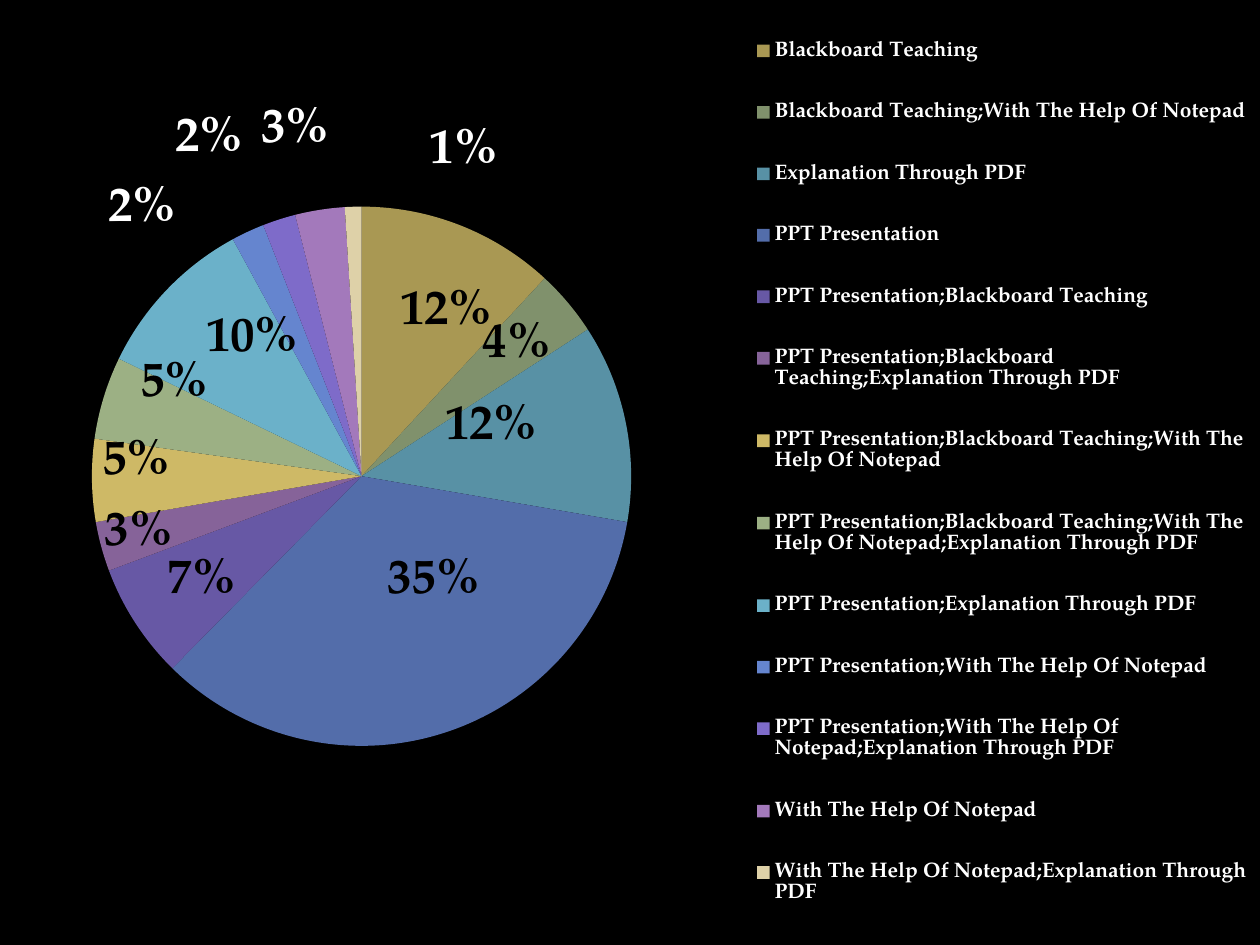
from math import cos, pi, sin

from lxml import etree
from pptx import Presentation
from pptx.chart.data import CategoryChartData
from pptx.dml.color import RGBColor
from pptx.enum.chart import XL_CHART_TYPE, XL_LABEL_POSITION, XL_LEGEND_POSITION
from pptx.oxml.ns import qn
from pptx.util import Inches, Pt

PIE = XL_CHART_TYPE.PIE
CENTER = XL_LABEL_POSITION.CENTER
RIGHT = XL_LEGEND_POSITION.RIGHT
FONT = "TeX Gyre Pagella"
WIDTH, HEIGHT = 10, 7.5
PIE_X, PIE_Y, RADIUS = 2.87, 3.78, 2.14
LEGEND_LEFT = 6.07

BOARD = "Blackboard Teaching"
NOTEPAD = "With The Help Of Notepad"
PDF = "Explanation Through PDF"
PPT = "PPT Presentation"

# fields: methods, percent, slice colour, label centre x and y, label colour
SLICES = [
    ([BOARD], 12, "A99853", 3.54, 2.49, "000000"),
    ([BOARD, NOTEPAD], 4, "80916C", 4.10, 2.75, "000000"),
    ([PDF], 12, "5891A5", 3.90, 3.40, "000000"),
    ([PPT], 35, "536DAA", 3.44, 4.62, "000000"),
    ([PPT, BOARD], 7, "6758A5", 1.60, 4.62, "000000"),
    ([PPT, BOARD, PDF], 3, "866399", 1.10, 4.24, "000000"),
    ([PPT, BOARD, NOTEPAD], 5, "CEB966", 1.08, 3.68, "000000"),
    ([PPT, BOARD, NOTEPAD, PDF], 5, "9CB084", 1.38, 3.06, "000000"),
    ([PPT, PDF], 10, "6BB1C9", 2.00, 2.70, "000000"),
    ([PPT, NOTEPAD], 2, "6585CF", 1.13, 1.67, "FFFFFF"),
    ([PPT, NOTEPAD, PDF], 2, "7E6BC9", 1.66, 1.11, "FFFFFF"),
    ([NOTEPAD], 3, "A379BB", 2.34, 1.04, "FFFFFF"),
    ([NOTEPAD, PDF], 1, "DED1A8", 3.68, 1.21, "FFFFFF"),
]


def colour(value):
    return RGBColor.from_string(value)


def style_font(font, size, value, bold):
    for name, setting in {"name": FONT, "size": Pt(size), "bold": bold}.items():
        setattr(font, name, setting)
    font.color.rgb = colour(value)


def make_layout(**settings):
    layout = etree.Element(qn("c:layout"))
    manual = etree.SubElement(layout, qn("c:manualLayout"))
    for name, value in settings.items():
        etree.SubElement(manual, qn("c:" + name)).set("val", str(value))
    return layout


def replace_layout(parent, layout, position):
    for old in parent.findall(qn("c:layout")):
        parent.remove(old)
    parent.insert(position, layout)


def show_percent(element):
    for name in ("showVal", "showPercent", "showLegendKey", "showCatName", "showSerName"):
        flag = element.find(qn("c:" + name))
        if flag is not None:
            flag.set("val", "1" if name == "showPercent" else "0")


def style_slices(chart):
    series = chart.plots[0].series[0]
    total = sum(row[1] for row in SLICES)
    passed = 0
    for index, (_, value, fill, x, y, text) in enumerate(SLICES):
        point = series.points[index]
        point.format.fill.solid()
        point.format.fill.fore_color.rgb = colour(fill)
        point.format.line.fill.background()
        label = point.data_label
        style_font(label.font, 28, text, True)
        label.position = CENTER
        angle = 2 * pi * (passed + value / 2) / total
        passed += value
        shift_x = x - PIE_X - RADIUS / 2 * sin(angle)
        shift_y = y - PIE_Y + RADIUS / 2 * cos(angle)
        element = chart.element.xpath(".//c:dLbl")[index]
        replace_layout(element, make_layout(
            x=round(shift_x / WIDTH, 4), y=round(shift_y / HEIGHT, 4)), 1)
        show_percent(element)
    labels = chart.element.xpath(".//c:ser/c:dLbls")[0]
    show_percent(labels)
    for leader in labels.findall(qn("c:showLeaderLines")):
        leader.set("val", "0")


def add_pie(page, left, top, width, height):
    data = CategoryChartData()
    data.categories = [";".join(row[0]) for row in SLICES]
    data.add_series("Series 1", [row[1] for row in SLICES])
    frame = page.shapes.add_chart(
        PIE, Inches(left), Inches(top), Inches(width), Inches(height), data)
    chart = frame.chart
    chart.has_title = False
    style_font(chart.font, 10, "FFFFFF", False)
    chart.plots[0].vary_by_categories = True
    style_slices(chart)
    replace_layout(chart.element.xpath(".//c:plotArea")[0], make_layout(
        layoutTarget="inner", xMode="edge", yMode="edge",
        x=round((PIE_X - RADIUS) / width, 4), y=round((PIE_Y - RADIUS) / height, 4),
        w=round(2 * RADIUS / width, 4), h=round(2 * RADIUS / height, 4)), 0)
    chart.has_legend = True
    legend = chart.legend
    legend.position = RIGHT
    legend.include_in_layout = False
    style_font(legend.font, 12, "FFFFFF", True)
    replace_layout(chart.element.xpath(".//c:legend")[0], make_layout(
        xMode="edge", yMode="edge", x=round(LEGEND_LEFT / width, 4), y=0,
        w=round(1 - LEGEND_LEFT / width, 4), h=1), 1)


deck = Presentation()
deck.slide_width, deck.slide_height = Inches(WIDTH), Inches(HEIGHT)
page = deck.slides.add_slide(deck.slide_layouts[6])
page.background.fill.solid()
page.background.fill.fore_color.rgb = colour("000000")
add_pie(page, 0, 0, WIDTH, HEIGHT)
deck.save("out.pptx")
